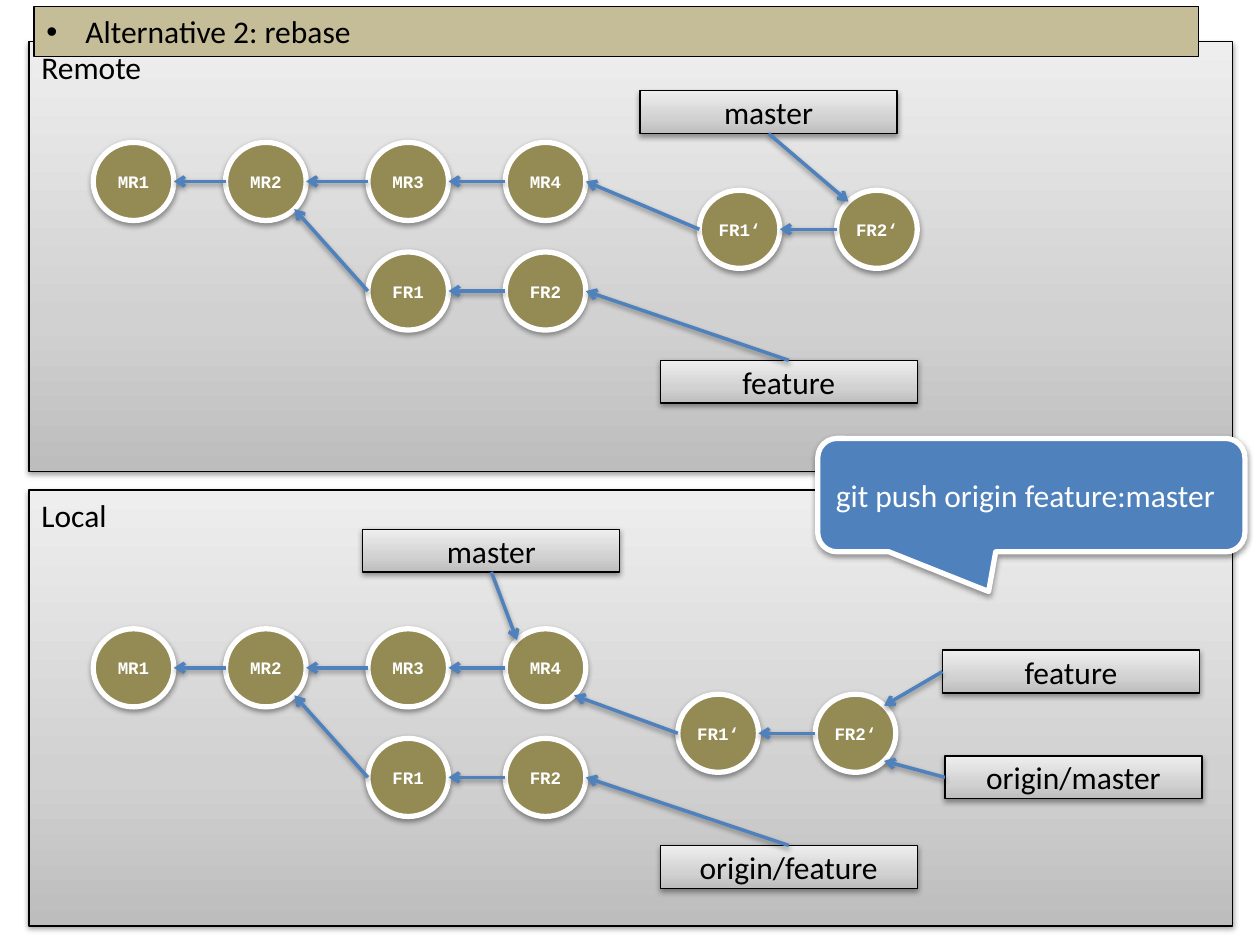
from copy import deepcopy
from math import sqrt

from pptx import Presentation
from pptx.dml.color import RGBColor
from pptx.enum.shapes import MSO_CONNECTOR, MSO_SHAPE
from pptx.enum.text import MSO_ANCHOR, MSO_AUTO_SIZE, PP_ALIGN
from pptx.oxml import parse_xml
from pptx.oxml.ns import nsdecls, qn
from pptx.util import Inches, Pt

GREY = [(0, "BDBDBD"), (0.35, "D1D1D1"), (1, "EEEEEE")]
BLUE, OLIVE, TAN = "4F81BD", "948A54", "C4BD97"
BLACK, WHITE = "000000", "FFFFFF"
NODE_W, NODE_H = 0.64, 0.62
TAG_W, TAG_H = 2.04, 0.34
TOP, LEFT, BOTTOM = 0, 1, 2
DIAG = 1 / sqrt(2)
BODY = {"name": "Calibri", "size": Pt(18), "bold": False}
CODE = {"name": "Courier New", "size": Pt(10), "bold": True}


def rgb(value):
    return RGBColor.from_string(value)


def set_attrs(obj, values):
    for name, value in values.items():
        setattr(obj, name, value)


def add_shadow(spPr):
    spPr.append(parse_xml(
        f'<a:effectLst {nsdecls("a")}>'
        '<a:outerShdw blurRad="40000" dist="20000" dir="5400000" rotWithShape="0">'
        '<a:srgbClr val="000000"><a:alpha val="38000"/></a:srgbClr>'
        '</a:outerShdw></a:effectLst>'))


def fill_gradient(sp, stops):
    sp.fill.gradient()
    sp.fill.gradient_angle = 90
    gs_list = sp._element.spPr.find(".//" + qn("a:gsLst"))
    gs_list.insert(1, deepcopy(gs_list[0]))
    for stop, (position, color) in zip(sp.fill.gradient_stops, stops):
        stop.position = position
        stop.color.rgb = rgb(color)


def add_box(s, kind, box, text, fill, line, color, font=BODY, align=PP_ALIGN.CENTER,
            anchor=MSO_ANCHOR.MIDDLE, wrap=True, shadow=True):
    sp = s.shapes.add_shape(kind, *map(Inches, box))
    if isinstance(fill, list):
        fill_gradient(sp, fill)
    else:
        sp.fill.solid()
        sp.fill.fore_color.rgb = rgb(fill)
    sp.line.color.rgb = rgb(line)
    sp.line.width = Pt(3 if line == WHITE else 0.75)
    if shadow:
        add_shadow(sp._element.spPr)
    else:
        sp.shadow.inherit = False
    tf = sp.text_frame
    set_attrs(tf, {"word_wrap": wrap, "vertical_anchor": anchor})
    p = tf.paragraphs[0]
    p.alignment = align
    r = p.add_run()
    r.text = text
    set_attrs(r.font, font)
    r.font.color.rgb = rgb(color)
    return sp


def add_arrow(s, begin, end):
    line = s.shapes.add_connector(MSO_CONNECTOR.STRAIGHT, *map(Inches, begin + end))
    line.line.color.rgb = rgb(BLUE)
    line.line.width = Pt(2)
    line.line._get_or_add_ln().append(
        parse_xml(f'<a:tailEnd {nsdecls("a")} type="arrow"/>'))
    add_shadow(line._element.spPr)
    return line


def edge(node, dx, dy):
    x, y = node
    return x + NODE_W / 2 * (1 + dx), y + NODE_H / 2 * (1 + dy)


def add_commits(s, names, xs, y):
    nodes = [(x, y) for x in xs]
    for name, node in zip(names, nodes):
        add_box(s, MSO_SHAPE.OVAL, (*node, NODE_W, NODE_H), name, OLIVE, WHITE, WHITE,
                font=CODE, wrap=False)
    for parent, child in zip(nodes, nodes[1:]):
        add_arrow(s, edge(child, -1, 0), edge(parent, 1, 0))
    return nodes


def add_tag(s, text, x, y, side, target):
    tag = add_box(s, MSO_SHAPE.RECTANGLE, (x, y, TAG_W, TAG_H), text, GREY, BLACK, BLACK)
    add_arrow(s, (x, y), target).begin_connect(tag, side)


def add_panel(s, box, title):
    add_box(s, MSO_SHAPE.RECTANGLE, box, title, GREY, BLACK, BLACK,
            align=PP_ALIGN.LEFT, anchor=MSO_ANCHOR.TOP)


def add_history(s, y):
    xs = [0.74, 1.79, 2.92, 4.01]
    main = add_commits(s, ["MR1", "MR2", "MR3", "MR4"], xs, y)
    branch = add_commits(s, ["FR1", "FR2"], xs[2:], y + 0.87)
    add_arrow(s, edge(branch[0], -1, 0), edge(main[1], DIAG, DIAG))
    return main[-1], branch[-1]


def add_rebased(s, x, y, base):
    first, last = add_commits(s, ["FR1‘", "FR2‘"], [x, x + 1.09], y)
    add_arrow(s, edge(first, -1, 0), base)
    return last


def add_remote(s, box):
    left, top = box[:2]
    add_panel(s, box, "Remote")
    main, branch = add_history(s, top + 0.8)
    last = add_rebased(s, left + 5.32, top + 1.18, edge(main, 1, 0))
    add_tag(s, "master", left + 4.85, top + 0.39, BOTTOM, edge(last, -DIAG, -DIAG))
    add_tag(s, "feature", left + 5.01, top + 2.53, TOP, edge(branch, 1, 0))


def add_local(s, box):
    left, top = box[:2]
    add_panel(s, box, "Local")
    main, branch = add_history(s, top + 1.1)
    last = add_rebased(s, left + 5.15, top + 1.62, edge(main, DIAG, DIAG))
    add_tag(s, "master", left + 2.65, top + 0.31, BOTTOM, edge(main, -DIAG, -DIAG))
    add_tag(s, "origin/feature", left + 5.01, top + 2.82, TOP, edge(branch, 1, 0))
    add_tag(s, "feature", left + 7.25, top + 1.27, LEFT, edge(last, DIAG, -DIAG))
    add_tag(s, "origin/master", left + 7.27, top + 2.11, LEFT, edge(last, DIAG, DIAG))


def add_callout(s, box):
    sp = add_box(s, MSO_SHAPE.ROUNDED_RECTANGULAR_CALLOUT, box,
                 "git push origin feature:master", BLUE, WHITE, WHITE, align=PP_ALIGN.LEFT)
    for i, value in enumerate([-0.1, 0.85, 0.17]):
        sp.adjustments[i] = value


def add_heading(s, box):
    sp = add_box(s, MSO_SHAPE.RECTANGLE, box, "Alternative 2: rebase", TAN, BLACK, BLACK,
                 align=PP_ALIGN.LEFT, anchor=MSO_ANCHOR.TOP, shadow=False)
    tf = sp.text_frame
    tf.auto_size = MSO_AUTO_SIZE.SHAPE_TO_FIT_TEXT
    pPr = tf.paragraphs[0]._p.get_or_add_pPr()
    pPr.set("marL", str(Inches(0.31)))
    pPr.set("indent", str(-Inches(0.31)))
    pPr.append(parse_xml(f'<a:buFont {nsdecls("a")} typeface="Arial"/>'))
    pPr.append(parse_xml(f'<a:buChar {nsdecls("a")} char="•"/>'))


def main():
    prs = Presentation()
    set_attrs(prs, {"slide_width": Inches(10), "slide_height": Inches(7.5)})
    s = prs.slides.add_slide(prs.slide_layouts[6])
    add_remote(s, (0.23, 0.33, 9.55, 3.41))
    add_local(s, (0.23, 3.89, 9.55, 3.46))
    add_callout(s, (6.49, 3.48, 3.39, 0.9))
    add_heading(s, (0.27, 0.05, 9.24, 0.4))
    prs.save("out.pptx")


if __name__ == "__main__":
    main()
